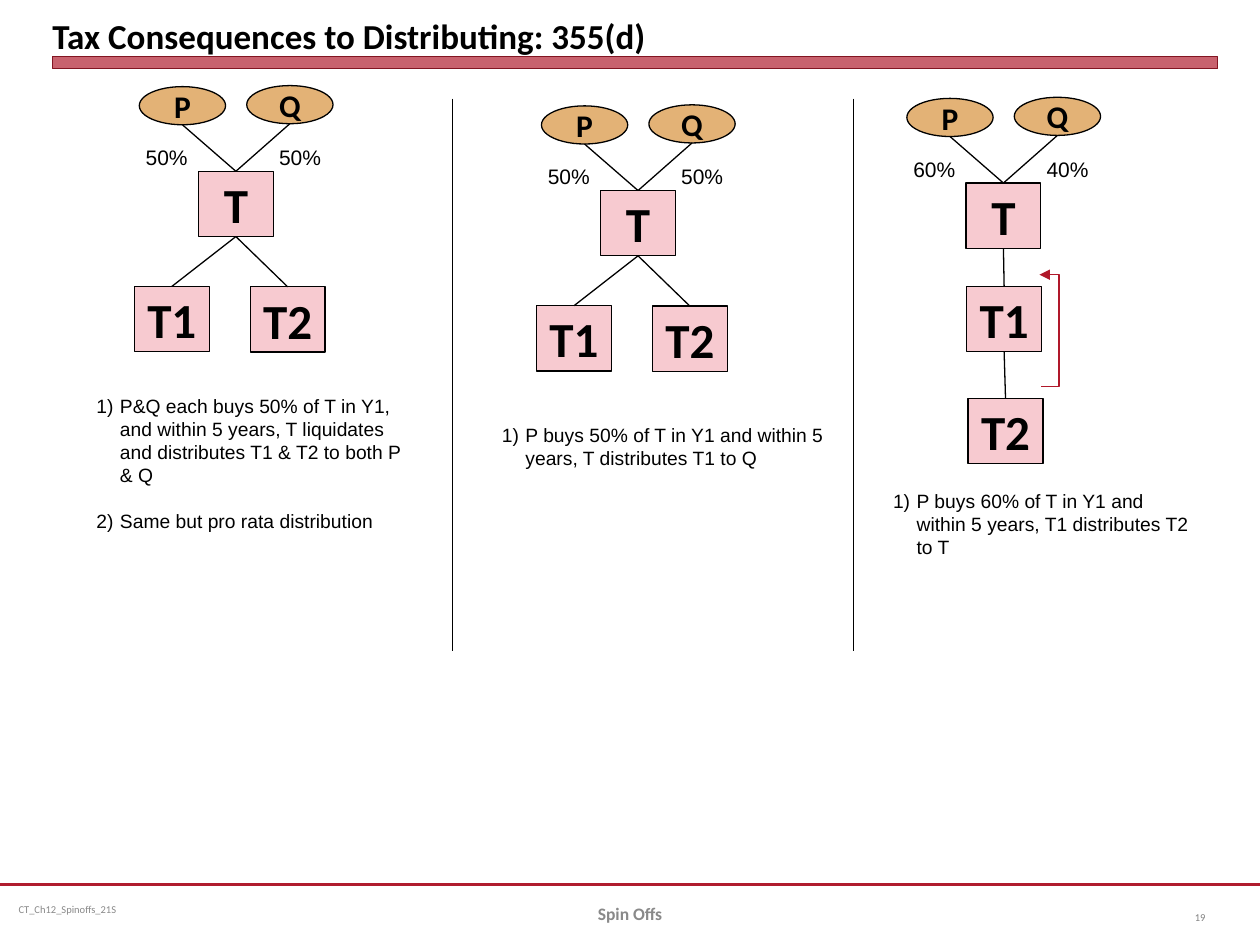
import pptx
import pptx.util
from lxml import etree
from pptx.dml.color import RGBColor
from pptx.enum.shapes import MSO_CONNECTOR, MSO_SHAPE
from pptx.enum.text import MSO_ANCHOR, PP_ALIGN
from pptx.oxml.ns import qn

Pt = pptx.util.Pt
COLORS = {
    "black": "000000", "rule": "B01C2E", "bar_edge": "821522", "red": "B0182A",
    "owner": "E3B276", "company": "F7CAD0", "footer": "898989", "number": "808080",
}
color = {name: RGBColor.from_string(value) for name, value in COLORS.items()}

prs = pptx.Presentation()
prs.slide_width, prs.slide_height = Pt(720), Pt(540)
slide = prs.slides.add_slide(prs.slide_layouts[5])
shapes = slide.shapes


def write(shape, text, size, font, ink="black", bold=False, align=PP_ALIGN.LEFT,
          anchor=MSO_ANCHOR.MIDDLE, wrap=True):
    frame = shape.text_frame
    frame.text = text
    frame.word_wrap = wrap
    frame.vertical_anchor = anchor
    for paragraph in frame.paragraphs:
        paragraph.alignment = align
        for run in paragraph.runs:
            run.font.size, run.font.name, run.font.bold = Pt(size), font, bold
            run.font.color.rgb = color[ink]
    return frame


def connect(x1, y1, x2, y2, ink="black", width=0.75, kind=MSO_CONNECTOR.STRAIGHT):
    line = shapes.add_connector(kind, Pt(x1), Pt(y1), Pt(x2), Pt(y2))
    line.line.color.rgb = color[ink]
    line.line.width = Pt(width)
    etree.SubElement(line._element.spPr, qn("a:effectLst"))
    return line


# Title with its bar
title = shapes.title
title.left, title.top, title.width, title.height = Pt(30), Pt(3.6), Pt(666), Pt(28.8)
title_frame = write(title, "Tax Consequences to Distributing: 355(d)", 20, "Calibri",
                    bold=True, anchor=MSO_ANCHOR.BOTTOM)
title_frame.margin_left = title_frame.margin_right = 0
title_frame.margin_top = title_frame.margin_bottom = 0

bar = shapes.add_shape(MSO_SHAPE.RECTANGLE, Pt(30), Pt(32.4), Pt(666), Pt(6.8))
bar.shadow.inherit = False
bar.fill.solid()
bar.fill.fore_color.rgb = color["rule"]
bar_fill = bar._element.spPr.find(qn("a:solidFill"))
etree.SubElement(bar_fill[0], qn("a:alpha"), val="69000")
bar.line.color.rgb = color["bar_edge"]
bar.line.width = Pt(0.5)

# Footer
connect(0, 505.5, 720, 505.5, "rule", 1.25)
footers = [
    ("CT_Ch12_Spinoffs_21S", 5.6, 505.5, 186, 6, "footer", False, PP_ALIGN.LEFT, 5),
    ("Spin Offs", 246, 507.6, 228, 10, "footer", True, PP_ALIGN.CENTER, 7.2),
    ("19", 660, 509.8, 36, 6, "number", False, PP_ALIGN.RIGHT, 7.2),
]
for text, x, y, width, size, ink, bold, align, margin in footers:
    footer = shapes.add_textbox(Pt(x), Pt(y), Pt(width), Pt(28.8))
    frame = write(footer, text, size, "Calibri", ink, bold, align)
    frame.margin_left = frame.margin_right = Pt(margin)

# Column dividers
for x in (258.5, 487.8):
    connect(x, 56.4, x, 372)

# Ownership charts: all positions are offsets from the corner of T
BOX_W, BOX_H = 42.8, 37.3
OVAL_W, OVAL_H = 49.3, 21.8
siblings = {"T1": (-36.6, 65.8), "T2": (29.6, 66)}
chain = {"T1": (0.4, 59), "T2": (1.2, 123)}
cases = [
    {"corner": (113.4, 97.9), "shares": ("50%", "50%"), "subsidiaries": siblings,
     "notes": ["P&Q each buys 50% of T in Y1, and within 5 years, T liquidates "
               "and distributes T1 & T2 to both P & Q",
               "Same but pro rata distribution"],
     "notes_box": (48, 221.8, 191.5, 87)},
    {"corner": (343.2, 108.9), "shares": ("50%", "50%"), "subsidiaries": siblings,
     "notes": ["P buys 50% of T in Y1 and within 5 years, T distributes T1 to Q"],
     "notes_box": (279.7, 238.4, 208, 34)},
    {"corner": (552, 104.6), "shares": ("60%", "40%"), "subsidiaries": chain,
     "notes": ["P buys 60% of T in Y1 and within 5 years, T1 distributes T2 to T"],
     "notes_box": (503.2, 276, 185.8, 47.5)},
]
for case in cases:
    left, top = case["corner"]

    # Companies
    companies = {}
    for name, (dx, dy) in {"T": (0, 0), **case["subsidiaries"]}.items():
        company = shapes.add_shape(MSO_SHAPE.RECTANGLE, Pt(left + dx), Pt(top + dy),
                                   Pt(BOX_W), Pt(BOX_H))
        write(company, name, 28, "Calibri", bold=True, align=PP_ALIGN.CENTER, wrap=False)
        companies[name] = company

    # Owners, their lines to T and their shares
    owners = []
    for name, dx, dy, share, share_dx in (("P", -33.8, -48.4, case["shares"][0], -37.2),
                                          ("Q", 27.6, -49, case["shares"][1], 39)):
        x, y = left + dx, top + dy
        owner = shapes.add_shape(MSO_SHAPE.OVAL, Pt(x), Pt(y), Pt(OVAL_W), Pt(OVAL_H))
        write(owner, name, 18, "Calibri", bold=True, align=PP_ALIGN.CENTER, wrap=False)
        owners.append(owner)
        stake = connect(x + OVAL_W / 2, y + OVAL_H, left + BOX_W / 2, top)
        stake.end_connect(companies["T"], 0)
        label = shapes.add_textbox(Pt(left + share_dx), Pt(top - 18.8), Pt(38.6), Pt(21.8))
        write(label, share, 12, "Arial", anchor=MSO_ANCHOR.TOP, wrap=False)

    for group, fill in ((companies.values(), "company"), (owners, "owner")):
        for node in group:
            node.shadow.inherit = False
            node.fill.solid()
            node.fill.fore_color.rgb = color[fill]
            node.line.color.rgb = color["black"]
            node.line.width = Pt(0.75)

    # Lines from parent to subsidiary
    t2_parent = "T1" if case["subsidiaries"] is chain else "T"
    for parent, child in (("T", "T1"), (t2_parent, "T2")):
        holding = connect(0, 0, 0, 0)
        holding.begin_connect(companies[child], 0)
        holding.end_connect(companies[parent], 2)

    # Numbered notes
    x, y, width, height = case["notes_box"]
    notes = shapes.add_textbox(Pt(x), Pt(y), Pt(width), Pt(height))
    frame = write(notes, "\n".join(case["notes"]), 11, "Arial", anchor=MSO_ANCHOR.TOP)
    for paragraph in frame.paragraphs:
        properties = paragraph._p.get_or_add_pPr()
        properties.set("marL", str(Pt(13.5)))
        properties.set("indent", str(-Pt(13.5)))
        etree.SubElement(properties, qn("a:buFont"), typeface="+mj-lt")
        etree.SubElement(properties, qn("a:buAutoNum"), type="arabicParenR")
    for paragraph in frame.paragraphs[1:]:
        paragraph.space_before = Pt(13)

# Distribution of T2 from T1 up to T
distribution = connect(595, 221, 594, 157, "red", kind=MSO_CONNECTOR.ELBOW)
guides = distribution._element.spPr.find(qn("a:prstGeom")).get_or_add_avLst()
etree.SubElement(guides, qn("a:gd"), name="adj1", fmla="val -1030000")
etree.SubElement(distribution.line._get_or_add_ln(), qn("a:tailEnd"), type="triangle")

prs.save("out.pptx")
